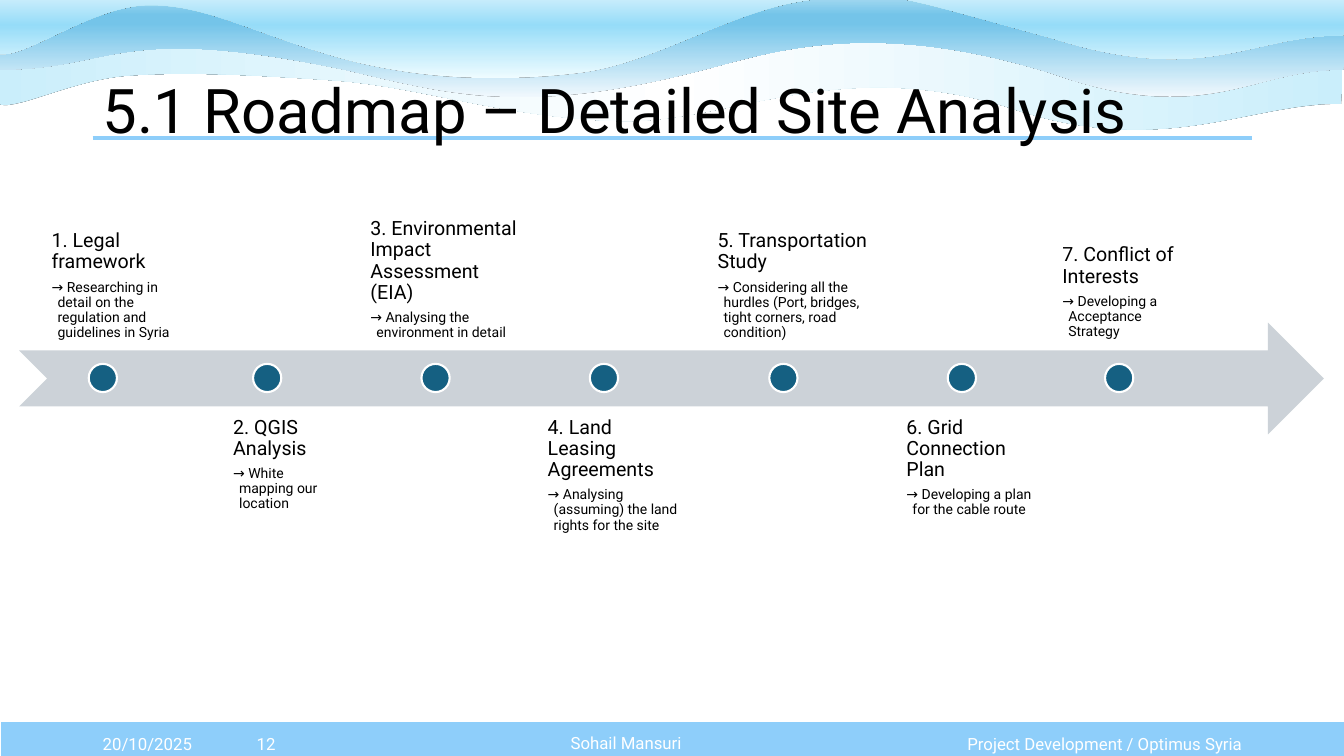
"""Build the roadmap slide for the detailed site analysis."""
from lxml import etree
from pptx import Presentation
from pptx import util as u
from pptx.dml import color
from pptx.enum import shapes, text
from pptx.oxml import ns

MIDDLE, TOP, BOTTOM = text.MSO_ANCHOR.MIDDLE, text.MSO_ANCHOR.TOP, text.MSO_ANCHOR.BOTTOM
LEFT, CENTER, RIGHT = text.PP_ALIGN.LEFT, text.PP_ALIGN.CENTER, text.PP_ALIGN.RIGHT
WHITE, SKY, BLACK = "FFFFFF", "8ECEFA", "000000"
A = ns.nsdecls("a")

prs = Presentation()
prs.slide_width, prs.slide_height = u.Inches(13.33), u.Inches(7.5)
slide = prs.slides.add_slide(prs.slide_layouts[6])


def rgb(value):
    return color.RGBColor.from_string(value)


def write(frame, words, size=12, fill=BLACK, align=LEFT, anchor=MIDDLE, spacing=None,
          after=0, hang=0, new=False):
    frame.word_wrap = True
    frame.vertical_anchor = anchor
    para = frame.add_paragraph() if new else frame.paragraphs[0]
    para.alignment, para.line_spacing, para.space_after = align, spacing, u.Pt(after)
    if hang:
        para.level = 1
        props = para._p.get_or_add_pPr()
        props.set("marL", str(u.Inches(hang)))
        props.set("indent", str(-u.Inches(hang)))
    run = para.add_run()
    run.text = words
    run.font.name, run.font.size = "Roboto", u.Pt(size)
    run.font.color.rgb = rgb(fill)


footer_bar = slide.shapes.add_shape(shapes.MSO_SHAPE.RECTANGLE, u.Inches(0), u.Inches(7.15),
                                    u.Inches(13.35), u.Inches(0.4))
footer_bar.shadow.inherit = False
footer_bar.fill.solid()
footer_bar.fill.fore_color.rgb = rgb(SKY)
footer_bar.line.color.rgb = rgb(WHITE)
footer_bar.line.width = u.Pt(1.5)

waves = [
    ((-0.04, 0.3, 13.36, 0.98), (13.3, 1.03),
     [(12.37, 1.02, 11.52, 1.59, 9.99, 1.06), (8.27, 0.54, 7.21, 1.24, 6.1, 1.2),
      (4.99, 1.16, 4.21, 0.87, 3.35, 0.8), (2.49, 0.74, 1.83, 0.71, 1.27, 0.75),
      (0.71, 0.79, 0.14, 1.11, -0.02, 1.03), (-0.02, 0.8, -0.04, 0.53, -0.04, 0.3),
      (3.13, 0.31), (6.52, 0.34), (9.41, 0.32), (13.32, 0.34),
      (13.32, 0.55, 13.32, 0.8, 13.3, 1.03)],
     [(0, "CAEEFB"), (50, WHITE), (100, "CAEEFB")], 0),
    ((0, -0.02, 13.33, 0.98), (13.32, 0.69),
     [(12.39, 0.69, 11.96, 1.27, 10.44, 0.73), (8.71, 0.19, 7.73, 0.49, 7.06, 0.67),
      (5.28, 1.14, 4.59, 0.97, 3.46, 0.7), (1.13, 0.21, 1.15, 0.69, 0, 0.69),
      (0, 0.46, 0.01, 0.23, 0.01, -0.01),
      (3.13, 0), (6.54, -0.02), (9.46, -0.01), (13.33, 0.03),
      (13.33, 0.25, 13.34, 0.46, 13.32, 0.69)],
     [(0, "F0F8FD"), (74, "74C4E9"), (83, "74C4E9"), (100, "A2D8F0")], 90),
    ((-0.03, -0.28, 13.36, 1.06), (13.32, 0.35),
     [(12.39, 0.35, 11.96, 0.86, 10.44, 0.38), (8.72, -0.09, 8.91, -0.07, 8.13, -0.01),
      (7.35, 0.04, 6.53, 0.62, 5.76, 0.72), (4.98, 0.82, 4.24, 0.79, 3.47, 0.6),
      (2.58, 0.36, 2.07, 0.05, 1.5, 0.05), (0.92, 0.04, 0.22, 0.61, -0.03, 0.53),
      (-0.02, 0.32, 0.01, -0.06, 0.01, -0.27),
      (3.13, -0.26), (6.54, -0.28), (9.46, -0.27), (13.33, -0.24),
      (13.33, -0.04, 13.34, 0.14, 13.32, 0.35)],
     [(0, "EFFCFF"), (50, "96DCF8"), (100, WHITE)], 90),
]
for (left, top, width, height), start, pieces, stops, angle in waves:
    right, bottom = left + width, top + height
    builder = slide.shapes.build_freeform(u.Inches(left), u.Inches(top))
    builder.add_line_segments([(u.Inches(x), u.Inches(y)) for x, y in
                               [(right, top), (right, bottom), (left, bottom)]])
    wave = builder.convert_to_shape()
    wave.rotation = 180
    wave.shadow.inherit = False
    wave.line.fill.background()

    geometry = wave._element.spPr.find(ns.qn("a:custGeom"))
    outline = geometry.find(".//" + ns.qn("a:path"))
    for corner in list(outline):
        outline.remove(corner)
    for number, piece in enumerate([start] + pieces):
        kind = "a:moveTo" if number == 0 else "a:cubicBezTo" if len(piece) == 6 else "a:lnTo"
        segment = etree.SubElement(outline, ns.qn(kind))
        for x, y in zip(piece[::2], piece[1::2]):
            etree.SubElement(segment, ns.qn("a:pt"), x=str(u.Inches(right - x)),
                             y=str(u.Inches(bottom - y)))
    etree.SubElement(outline, ns.qn("a:close"))

    colours = "".join(f'<a:gs pos="{pos * 1000}"><a:srgbClr val="{value}"/></a:gs>'
                      for pos, value in stops)
    geometry.addnext(etree.fromstring(
        f'<a:gradFill {A} rotWithShape="1"><a:gsLst>{colours}</a:gsLst>'
        f'<a:lin ang="{angle * 60000}" scaled="0"/></a:gradFill>'))
    wave._element.spPr.find(ns.qn("a:effectLst")).append(etree.fromstring(
        f'<a:outerShdw {A} blurRad="0" dist="0" dir="0"><a:srgbClr val="{BLACK}"/></a:outerShdw>'))

title_rule = slide.shapes.add_connector(shapes.MSO_CONNECTOR.STRAIGHT, u.Inches(0.92),
                                        u.Inches(1.37), u.Inches(12.42), u.Inches(1.37))
title_rule.line.color.rgb = rgb(SKY)
title_rule.line.width = u.Pt(3)
etree.SubElement(title_rule._element.spPr, ns.qn("a:effectLst"))

title = slide.shapes.add_textbox(u.Inches(0.92), u.Inches(0.4), u.Inches(11.5), u.Inches(1.45))
write(title.text_frame, "5.1 Roadmap – Detailed Site Analysis", size=44, spacing=0.9)

for words, left, width, align, spacing in [
    ("20/10/2025", 0.92, 1.22, LEFT, None),
    ("Project Development / Optimus Syria", 9.27, 3.15, RIGHT, None),
    ("12", 2.13, 1.02, CENTER, None),
    ("Sohail Mansuri", 3.15, 6.12, CENTER, 0.9),
]:
    footer = slide.shapes.add_textbox(u.Inches(left), u.Inches(7.18), u.Inches(width), u.Inches(0.4))
    write(footer.text_frame, words, fill=WHITE, align=align, spacing=spacing)

timeline = slide.shapes.add_shape(shapes.MSO_SHAPE.NOTCHED_RIGHT_ARROW, u.Inches(0.19),
                                  u.Inches(3.2), u.Inches(12.94), u.Inches(1.11))
timeline.shadow.inherit = False
timeline.fill.solid()
timeline.fill.fore_color.rgb = rgb("CCD2D8")
timeline.line.fill.background()

ABOVE, BELOW = 2.38, 4.03
milestones = [
    ("1. Legal framework",
     "→ Researching in detail on the regulation and guidelines in Syria", 0.28, ABOVE, 1.64, 0.88),
    ("2. QGIS Analysis", "→ White mapping our location", 2.19, BELOW, 1.08, 2.51),
    ("3. Environmental Impact Assessment (EIA)",
     "→ Analysing the environment in detail", 3.55, ABOVE, 1.7, 4.18),
    ("4. Land Leasing Agreements",
     "→ Analysing (assuming) the land rights for the site", 5.32, BELOW, 1.51, 5.85),
    ("5. Transportation Study",
     "→ Considering all the hurdles (Port, bridges, tight corners, road condition)",
     6.91, ABOVE, 1.9, 7.63),
    ("6. Grid Connection Plan", "→ Developing a plan for the cable route", 8.88, BELOW, 1.48, 9.4),
    ("7. Conflict of Interests", "→ Developing a Acceptance Strategy", 10.35, 2.37, 1.48, 10.96),
]
for heading, detail, left, top, width, dot_left in milestones:
    anchor = TOP if top == BELOW else BOTTOM
    label = slide.shapes.add_textbox(u.Inches(left), u.Inches(top), u.Inches(width), u.Inches(1.11))
    frame = label.text_frame
    frame.margin_left = frame.margin_right = u.Inches(0.11)
    frame.margin_top = frame.margin_bottom = u.Inches(0.11)
    write(frame, heading, size=14, anchor=anchor, spacing=0.9, after=4.9)
    write(frame, detail, size=10, anchor=anchor, spacing=0.9, after=1.5, hang=0.06, new=True)
    frame._txBody.bodyPr.set("anchorCtr", "1")

    dot = slide.shapes.add_shape(shapes.MSO_SHAPE.OVAL, u.Inches(dot_left), u.Inches(3.61),
                                 u.Inches(0.28), u.Inches(0.28))
    dot.shadow.inherit = False
    dot.fill.solid()
    dot.fill.fore_color.rgb = rgb("156082")
    dot.line.color.rgb = rgb(WHITE)
    dot.line.width = u.Pt(1.5)

prs.save("out.pptx")
